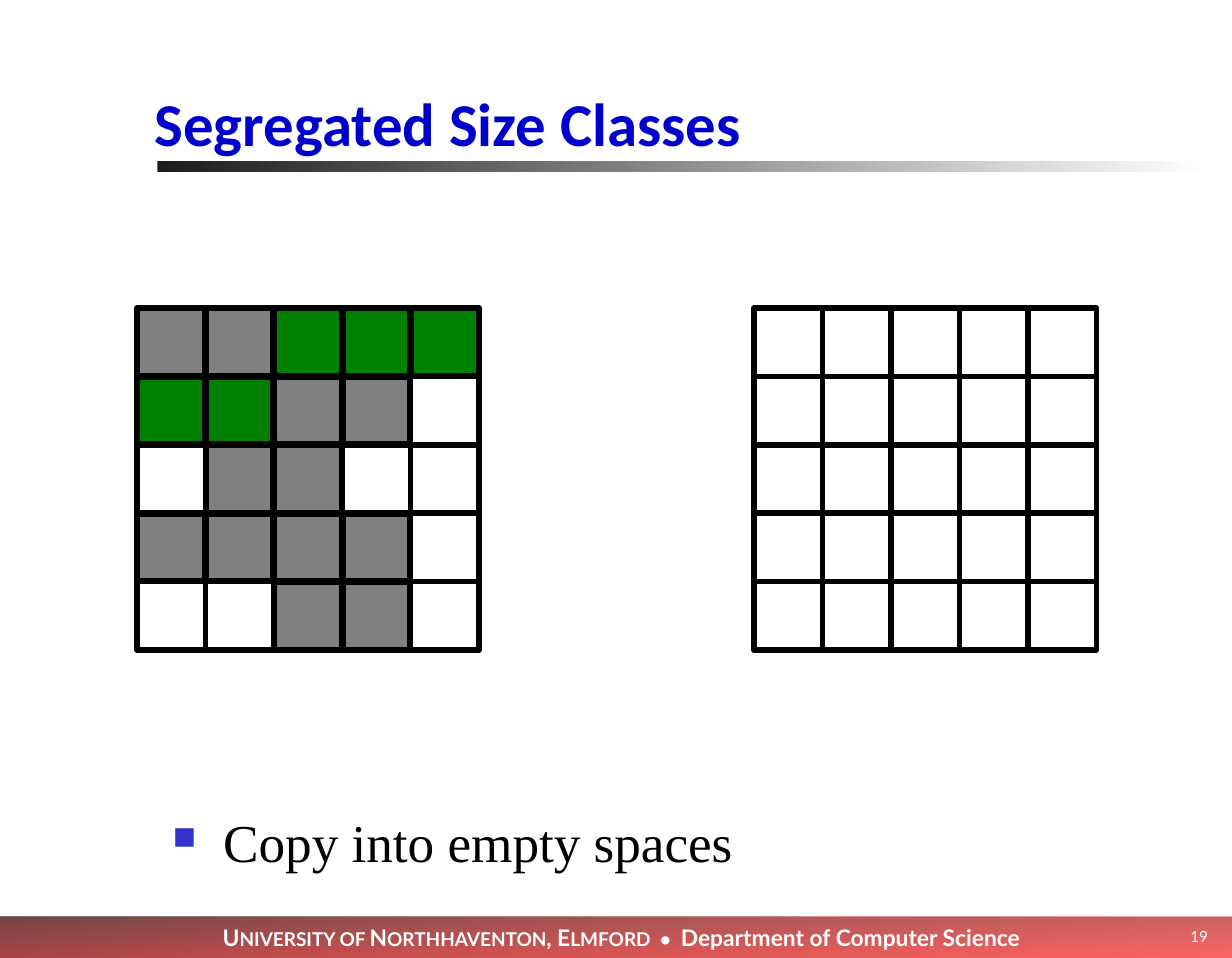
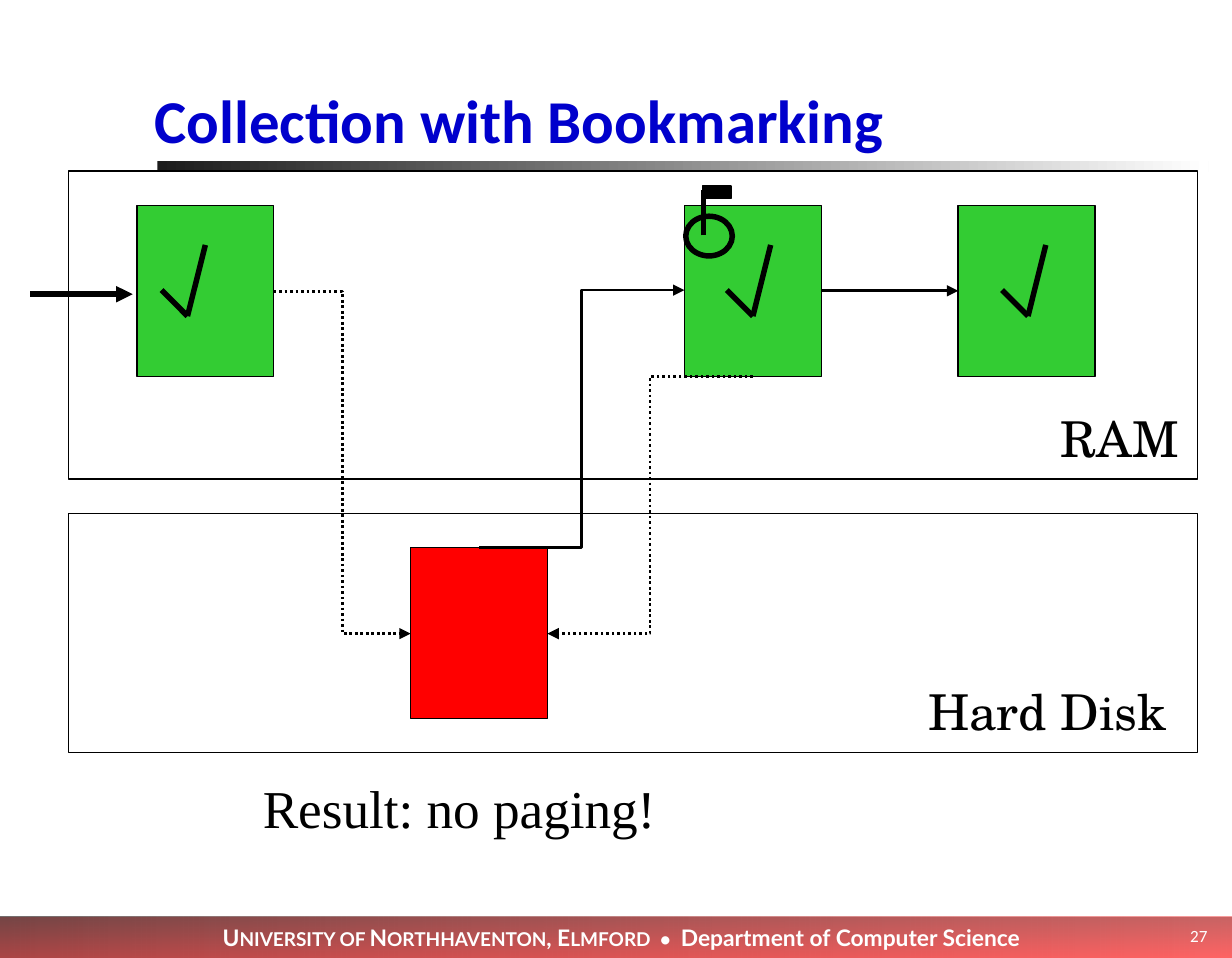
from dataclasses import dataclass
from itertools import pairwise
from typing import Any

from lxml.etree import SubElement
from pptx import Presentation
from pptx.dml.color import RGBColor
from pptx.enum.dml import MSO_LINE as Dash
from pptx.enum.shapes import MSO_CONNECTOR as Link, MSO_SHAPE as Kind
from pptx.enum.text import MSO_ANCHOR as Anchor, MSO_AUTO_SIZE as Auto, PP_ALIGN as Align
from pptx.oxml.ns import qn
from pptx.util import Inches, Pt

BLACK = RGBColor(0, 0, 0)
WHITE = RGBColor(255, 255, 255)
COAL = RGBColor(0x1C, 0x1C, 0x1C)
GRAY = RGBColor(0x80, 0x80, 0x80)
GREEN = RGBColor(0, 0x80, 0)
LIME = RGBColor(0x33, 0xCC, 0x33)
RED = RGBColor(255, 0, 0)
MAROON = RGBColor(0x76, 0, 0)
BLUE = RGBColor(0, 0, 0xCC)
BULLET = "3333CC"

THIN, MID, THICK = 0.75, 1.45, 2.89
STEP, GAP, COUNT = 0.5, 0.02, 5
CELLS = ("xxooo", "ooxx.", ".xx..", "xxxx.", "..xx.")
TINTS = {"x": GRAY, "o": GREEN}

TITLE = {"name": "Calibri", "size": Pt(32), "bold": True}
BODY = {"name": "Times New Roman", "size": Pt(28)}
LABEL = {"name": "TeX Gyre Schola", "size": Pt(26)}
PAGE = {"name": "Calibri", "size": Pt(9)}
BAND = {"name": "Lato", "bold": True}
FOOTER = (
    ("U", 12), ("NIVERSITY OF ", 10), ("N", 12), ("ORTHHAVENTON", 10),
    (", E", 12), ("LMFORD  • ", 10), (" Department of Computer Science", 12),
)


@dataclass(frozen=True)
class Box:
    x: float
    y: float
    w: float
    h: float

    def place(self) -> tuple:
        return tuple(Inches(v) for v in (self.x, self.y, self.w, self.h))


@dataclass(frozen=True)
class Wire:
    x1: float
    y1: float
    x2: float
    y2: float
    width: float = THICK
    kind: Any = Link.STRAIGHT
    dash: Any = None
    arrow: bool = False


@dataclass(frozen=True)
class Fade:
    box: Box
    angle: int
    stops: tuple


FADES = (
    Fade(Box(1.15, 1.18, 7.68, 0.08), 0, ((COAL, 100), (WHITE, 100))),
    Fade(Box(0, 6.7, 9, 0.33), 0, ((BLACK, 55), (RED, 35))),
    Fade(Box(0, 6.7, 9.08, 0.3), 270, ((MAROON, 40), (RED, 40))),
)
RAM = Box(0.5, 1.25, 8.25, 2.25)
DISK = Box(0.5, 3.75, 8.25, 1.75)
PAGES = (Box(1, 1.5, 1, 1.25), Box(5, 1.5, 1, 1.25), Box(7, 1.5, 1, 1.25))
LOST = Box(3, 4, 1, 1.25)
TICK = ((0, 2.12), (0.19, 2.31), (0.32, 1.79))
TICKS = (1.18, 5.31, 7.32)
WIRES = (
    Wire(3.5, 4, 5, 2.12, MID, Link.ELBOW, arrow=True),
    Wire(5.5, 2.75, 4, 4.63, MID, Link.ELBOW, Dash.ROUND_DOT, True),
    Wire(2, 2.13, 3, 4.63, MID, Link.ELBOW, Dash.ROUND_DOT, True),
    Wire(0.22, 2.15, 0.97, 2.15, arrow=True),
    Wire(5.14, 1.72, 5.14, 1.39),
)


def apply(item: Any, values: dict) -> None:
    for key, value in values.items():
        setattr(item, key, value)


def draw(slide: Any, box: Box, fill: Any = None, width: float = THIN,
         kind: Any = Kind.RECTANGLE) -> Any:
    shape = slide.shapes.add_shape(kind, *box.place())
    shape.shadow.inherit = False
    if fill is None:
        shape.fill.background()
    else:
        shape.fill.solid()
        shape.fill.fore_color.rgb = fill
    if width:
        shape.line.color.rgb = BLACK
        shape.line.width = Pt(width)
    else:
        shape.line.fill.background()
    return shape


def wire(slide: Any, part: Wire) -> Any:
    ends = (Inches(v) for v in (part.x1, part.y1, part.x2, part.y2))
    link = slide.shapes.add_connector(part.kind, *ends)
    link.line.color.rgb = BLACK
    link.line.width = Pt(part.width)
    if part.dash:
        link.line.dash_style = part.dash
    props = link.element.spPr
    if part.arrow:
        SubElement(props.find(qn("a:ln")), qn("a:tailEnd"), type="triangle")
    SubElement(props, qn("a:effectLst"))
    return link


def fade(slide: Any, band: Fade) -> Any:
    shape = draw(slide, band.box, width=0)
    shape.fill.gradient()
    shape.fill.gradient_angle = band.angle
    for stop, (color, solid) in zip(shape.fill.gradient_stops, band.stops):
        stop.color.rgb = color
    for node, (color, solid) in zip(props_colors(shape), band.stops):
        SubElement(node, qn("a:alpha"), val=str(solid * 1000))
    return shape


def props_colors(shape: Any) -> list:
    return list(shape.element.spPr.find(qn("a:gradFill")).iter(qn("a:srgbClr")))


def frame_text(frame: Any, pad: tuple, wrap: bool, anchor: Any) -> None:
    side, top = (Inches(v) for v in pad)
    apply(frame, {
        "auto_size": Auto.NONE, "word_wrap": wrap, "vertical_anchor": anchor,
        "margin_left": side, "margin_right": side,
        "margin_top": top, "margin_bottom": top,
    })


def fill_text(para: Any, text: str, font: dict, color: RGBColor) -> None:
    run = para.add_run()
    run.text = text
    apply(run.font, font)
    run.font.color.rgb = color


def write(slide: Any, box: Box, text: str, font: dict, color: RGBColor = BLACK,
          pad: tuple = (0, 0), wrap: bool = False, anchor: Any = Anchor.TOP,
          align: Any = Align.LEFT, space: float = 0.97) -> Any:
    frame = slide.shapes.add_textbox(*box.place()).text_frame
    frame_text(frame, pad, wrap, anchor)
    para = frame.paragraphs[0]
    apply(para, {"alignment": align, "line_spacing": space})
    fill_text(para, text, font, color)
    return para


def start(deck: Any, text: str, box: Box, page: int) -> Any:
    slide = deck.slides.add_slide(deck.slide_layouts[5])
    title = slide.shapes.title
    left, top, width, height = box.place()
    apply(title, {"left": left, "top": top, "width": width, "height": height})
    frame_text(title.text_frame, (0, 0), True, Anchor.MIDDLE)
    para = title.text_frame.paragraphs[0]
    apply(para, {"alignment": Align.LEFT, "line_spacing": 0.97})
    fill_text(para, text, TITLE, BLUE)
    bands = [fade(slide, band) for band in FADES]
    frame = bands[-1].text_frame
    frame_text(frame, (0.1, 0.05), True, Anchor.MIDDLE)
    para = frame.paragraphs[0]
    para.alignment = Align.CENTER
    for word, size in FOOTER:
        fill_text(para, word, BAND | {"size": Pt(size)}, WHITE)
    write(slide, Box(8.25, 6.67, 0.67, 0.33), str(page), PAGE, WHITE,
          (0.1, 0.05), True, Anchor.MIDDLE, Align.RIGHT, 1.0)
    return slide


def grid(slide: Any, x: float, y: float) -> None:
    side = STEP * COUNT
    draw(slide, Box(x, y, side, side), width=THICK)
    for i in range(1, COUNT):
        at = i * STEP
        wire(slide, Wire(x, y + at, x + side, y + at))
        wire(slide, Wire(x + at, y, x + at, y + side))


def classes(deck: Any) -> None:
    slide = start(deck, "Segregated Size Classes", Box(1.13, 0.33, 7.67, 1.17), 19)
    left, top = 1, 2.25
    for x in (left, 5.51):
        grid(slide, x, top)
    size = STEP - 2 * GAP
    for row, line in enumerate(CELLS):
        for col, mark in enumerate(line):
            if mark in TINTS:
                cell = Box(left + col * STEP + GAP, top + row * STEP + GAP, size, size)
                draw(slide, cell, TINTS[mark])
    para = write(slide, Box(1.17, 5.92, 7.65, 0.53), "Copy into empty spaces", BODY,
                 pad=(0.09, 0.05), wrap=True, space=0.9)
    props = para._p.get_or_add_pPr()
    indent = Inches(0.37)
    props.set("marL", str(indent))
    props.set("indent", str(-indent))
    SubElement(SubElement(props, qn("a:buClr")), qn("a:srgbClr"), val=BULLET)
    SubElement(props, qn("a:buSzPct"), val="60000")
    SubElement(props, qn("a:buChar"), char="■")


def marking(deck: Any) -> None:
    slide = start(deck, "Collection with Bookmarking", Box(1.13, 0.5, 7.67, 0.79), 27)
    for area in (RAM, DISK):
        draw(slide, area)
    draw(slide, LOST, RED)
    first, near, far = [draw(slide, box, LIME) for box in PAGES]
    for part in WIRES:
        wire(slide, part)
    link = wire(slide, Wire(6, 2.13, 7, 2.13, MID, arrow=True))
    link.begin_connect(near, 3)
    link.end_connect(far, 1)
    for x in TICKS:
        for (x1, y1), (x2, y2) in pairwise(TICK):
            wire(slide, Wire(x + x1, y1, x + x2, y2))
    draw(slide, Box(5.13, 1.36, 0.21, 0.09), BLACK)
    draw(slide, Box(5.01, 1.58, 0.34, 0.29), width=THICK, kind=Kind.OVAL)
    write(slide, Box(7.75, 3.01, 0.9, 0.42), "RAM", LABEL)
    write(slide, Box(6.78, 5, 1.86, 0.42), "Hard Disk", LABEL)
    write(slide, Box(1.92, 5.69, 3.31, 0.45), "Result: no paging!", BODY)


def main() -> None:
    deck = Presentation()
    apply(deck, {"slide_width": Inches(9), "slide_height": Inches(7)})
    classes(deck)
    marking(deck)
    deck.save("out.pptx")


if __name__ == "__main__":
    main()
